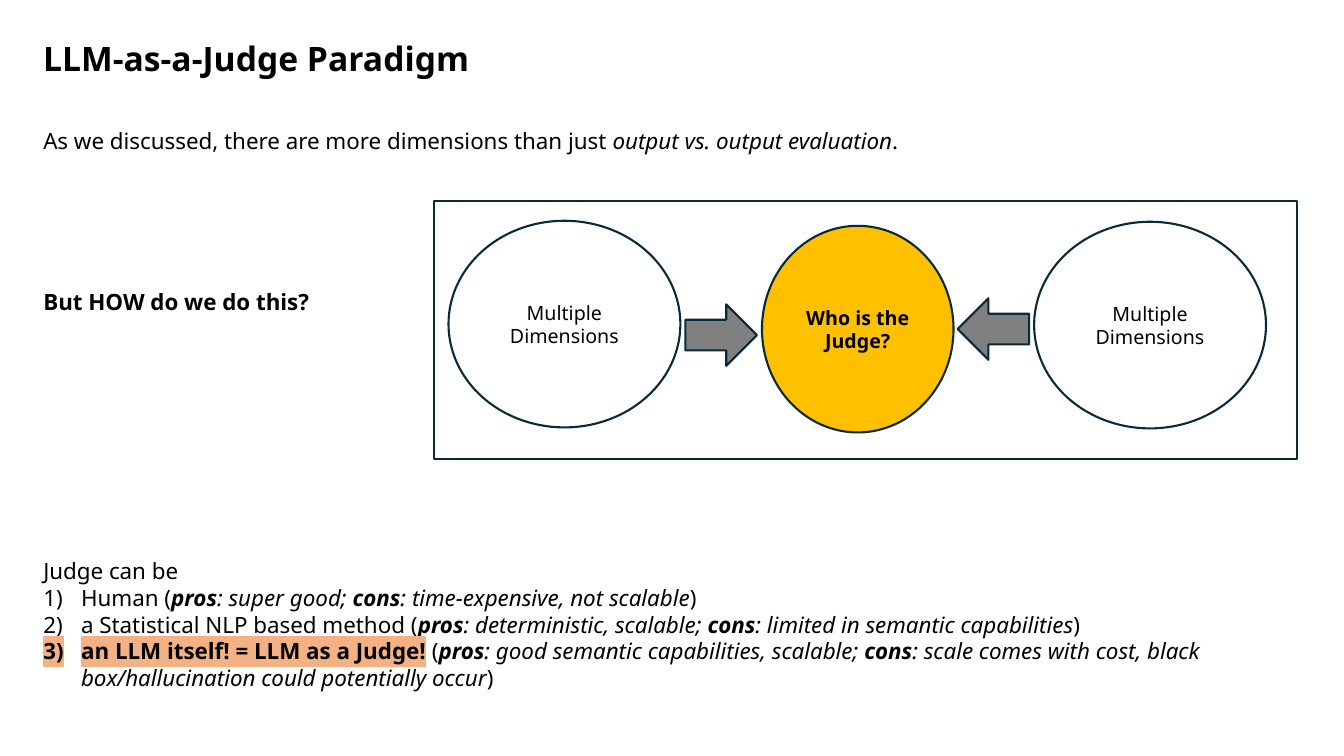
from lxml import etree
from pptx import Presentation
from pptx.dml.color import RGBColor
from pptx.enum.shapes import MSO_SHAPE as Shape
from pptx.enum.text import MSO_ANCHOR as Anchor, PP_ALIGN as Align
from pptx.oxml.ns import qn
from pptx.util import Pt

FONT = "Noto Sans"
COLORS = {"text": "000000", "outline": "092A39", "judge": "FFC000",
          "arrow": "808080", "mark": "F4B183"}

TITLE = [[("LLM-as-a-Judge Paradigm", "b")]]
INTRO = [[("As we discussed, there are more dimensions than just ", ""),
          ("output vs. output evaluation", "i"), (".", "")]]
QUESTION = [[("But HOW do we do this?", "b")]]
LEAD = [("Judge can be", "")]
JUDGES = [
    ([("Human (", "")],
     "super good", "time-expensive, not scalable"),
    ([("a Statistical NLP based method (", "")],
     "deterministic, scalable", "limited in semantic capabilities"),
    ([("an LLM itself! = LLM as a Judge!", "bh"), (" ", "b"), ("(", "")],
     "good semantic capabilities, scalable",
     "scale comes with cost, black box/hallucination could potentially occur"),
]

LEFT, BODY_TOP, BODY_WIDTH = 23.8, 87.1, 889.2
LINE_PITCH = 19.2
INDENT = 27
FRAME = (310.3, 143.3, 616.3, 184.3)
CIRCLES = [
    ((320.4, 157.7, 165.6, 147.6), None, "Multiple Dimensions", ""),
    ((738.7, 158.4, 165.6, 147.6), None, "Multiple Dimensions", ""),
    ((544.3, 161.3, 136.8, 147.6), "judge", "Who is the Judge?", "b"),
]
ARROWS = [((489.6, 217.4, 51.1, 43.9), 0), ((684, 213.1, 51.1, 43.9), 180)]


def color(name):
    """Return the named colour."""
    return RGBColor.from_string(COLORS[name])


def add_spans(para, spans, size):
    """Add styled runs: b is bold, i italic, h highlighted."""
    for text, style in spans:
        span = para.add_run()
        span.text = text
        font = span.font
        font.name, font.size = FONT, Pt(size)
        font.bold, font.italic = "b" in style, "i" in style
        font.color.rgb = color("text")
        if "h" in style:
            mark = etree.Element(qn("a:highlight"))
            etree.SubElement(mark, qn("a:srgbClr"), val=COLORS["mark"])
            fill = span._r.get_or_add_rPr().find(qn("a:solidFill"))
            fill.addnext(mark)


def add_text(page, place, paragraphs, size, numbered_from=None):
    """Add a text box, numbering paragraphs from the given index."""
    box = page.shapes.add_textbox(*map(Pt, place))
    frame = box.text_frame
    frame.word_wrap = True
    for index, spans in enumerate(paragraphs):
        para = frame.add_paragraph() if index else frame.paragraphs[0]
        if numbered_from is not None and index >= numbered_from:
            props = para._p.get_or_add_pPr()
            props.set("marL", str(Pt(INDENT)))
            props.set("indent", str(-Pt(INDENT)))
            etree.SubElement(props, qn("a:buFont"), typeface="+mj-lt")
            etree.SubElement(props, qn("a:buAutoNum"), type="arabicParenR")
        add_spans(para, spans, size)


def add_outlined(group, kind, place, fill=None):
    """Add a shape with the diagram's outline and an optional fill."""
    shape = group.shapes.add_shape(kind, *map(Pt, place))
    shape.shadow.inherit = False
    shape.line.color.rgb = color("outline")
    shape.line.width = Pt(1.5)
    if fill:
        shape.fill.solid()
        shape.fill.fore_color.rgb = color(fill)
    else:
        shape.fill.background()
    return shape


def judge_spans(name, pros, cons):
    """Return the runs of one judge option."""
    return name + [("pros", "bi"), (f": {pros}; ", "i"),
                   ("cons", "bi"), (f": {cons}", "i"), (")", "")]


def main():
    """Build the slide and save it."""
    deck = Presentation()
    deck.slide_width, deck.slide_height = Pt(960), Pt(540)
    page = deck.slides.add_slide(deck.slide_layouts[6])

    options = [LEAD] + [judge_spans(*judge) for judge in JUDGES]
    for line, paragraphs, start in ((0, INTRO, None), (6, QUESTION, None),
                                    (16, options, 1)):
        height = LINE_PITCH * len(paragraphs) + 7.2
        place = (LEFT, BODY_TOP + line * LINE_PITCH, BODY_WIDTH, height)
        add_text(page, place, paragraphs, 16, start)
    add_text(page, (LEFT, 23.8, 923.8, 36), TITLE, 24)

    diagram = page.shapes.add_group_shape()
    add_outlined(diagram, Shape.RECTANGLE, FRAME)
    for place, fill, label, style in CIRCLES:
        circle = add_outlined(diagram, Shape.OVAL, place, fill)
        frame = circle.text_frame
        frame.word_wrap = True
        frame.vertical_anchor = Anchor.MIDDLE
        para = frame.paragraphs[0]
        para.alignment = Align.CENTER
        add_spans(para, [(label, style)], 14)
    for place, turn in ARROWS:
        add_outlined(diagram, Shape.RIGHT_ARROW, place, "arrow").rotation = turn

    deck.save("out.pptx")


if __name__ == "__main__":
    main()
